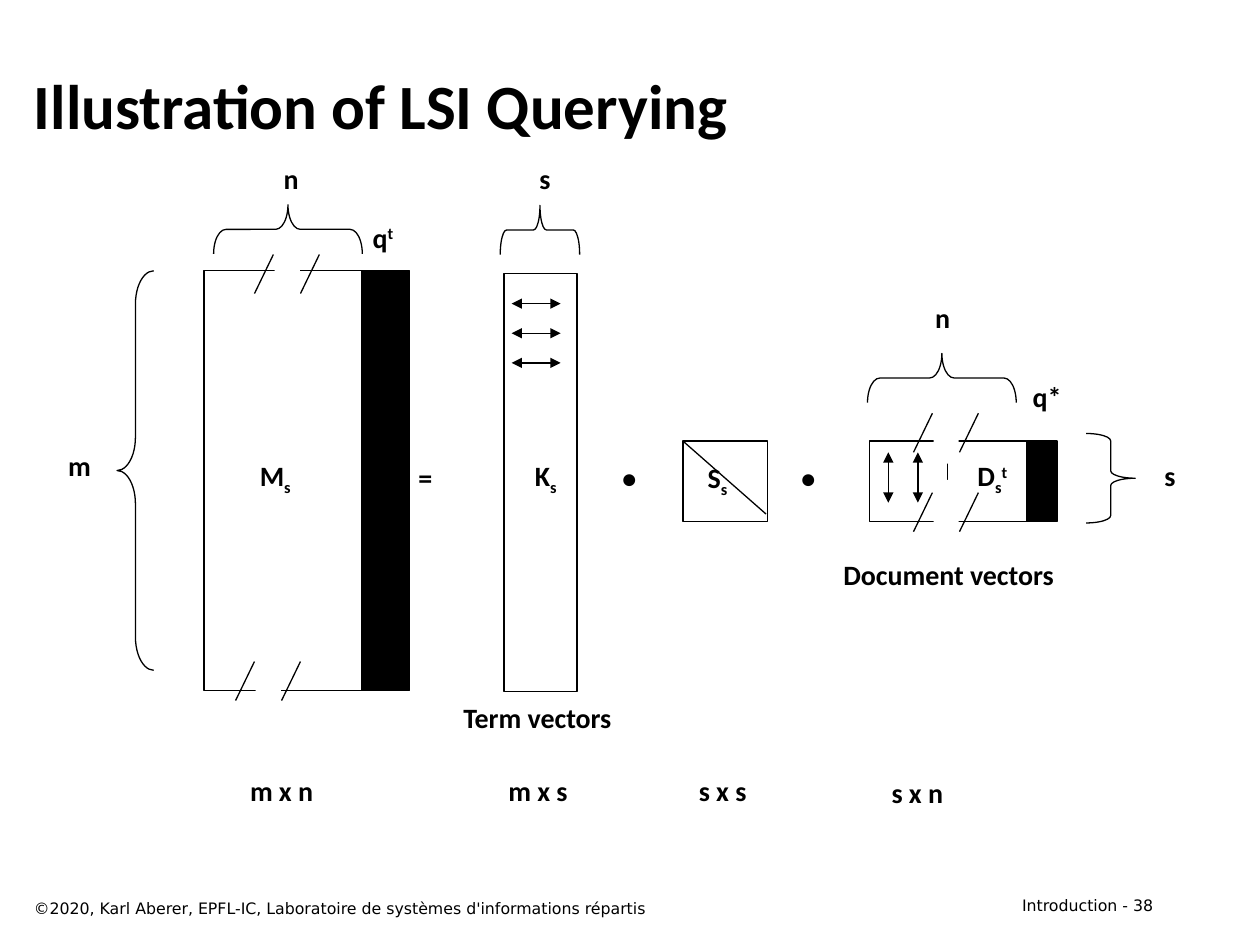
from lxml.etree import SubElement as sub
from pptx import Presentation
from pptx.dml.color import RGBColor
from pptx.enum.shapes import MSO_CONNECTOR as Link, MSO_SHAPE as Kind
from pptx.enum.text import MSO_ANCHOR as Anchor, PP_ALIGN as Align
from pptx.oxml.ns import qn
from pptx.util import Inches, Pt

ink = RGBColor.from_string
deck = Presentation()
deck.slide_width, deck.slide_height = Inches(10), Inches(7.5)
cell = deck.slide_width / 100
slide = deck.slides.add_slide(deck.slide_layouts[6])
shapes = slide.shapes


def draw(kind, box, fill=None, edge="000000"):
    item = shapes.add_shape(kind, *[round(v * cell) for v in box])
    item.shadow.inherit = False
    if fill:
        item.fill.solid()
        item.fill.fore_color.rgb = ink(fill)
    else:
        item.fill.background()
    if edge:
        item.line.color.rgb = ink(edge)
        item.line.width = Pt(0.75)
    else:
        item.line.fill.background()
    return item


def write(parts, box, size=16, face="Calibri", align=Align.CENTER, wrap=False):
    frame = shapes.add_textbox(*[round(v * cell) for v in box]).text_frame
    frame.word_wrap = wrap
    para = frame.paragraphs[0]
    para.alignment = align
    for text, base in parts:
        run = para.add_run()
        run.text = text
        run.font.size = Pt(size)
        run.font.name = face
        run.font.bold = face == "Calibri"
        run.font.color.rgb = ink("000000")
        if base:
            run._r.get_or_add_rPr().set("baseline", str(base * 1000))
    return frame


foot = "©2020, Karl Aberer, EPFL-IC, Laboratoire de systèmes d'informations répartis"
write([("Introduction - 38", 0)], (71.7, 70.6, 20.8, 2.5), 9, "DejaVu Sans", Align.RIGHT, True)
write([(foot, 0)], (1.7, 70.8, 64.2, 2.5), 9, "DejaVu Sans", Align.LEFT, True)
title = write([("Illustration of LSI Querying", 0)], (1.7, 3.3, 90.8, 10), 36, align=Align.LEFT, wrap=True)
title.vertical_anchor = Anchor.MIDDLE

for box, fill in [
    ((16.2, 21.5, 12.6, 33.3), None),
    ((40, 21.7, 5.8, 33.2), None),
    ((54.2, 35, 6.7, 6.4), None),
    ((69, 35, 12.5, 6.4), None),
    ((28.7, 21.5, 3.8, 33.3), "000000"),
    ((81.5, 35, 2.4, 6.4), "000000"),
]:
    draw(Kind.RECTANGLE, box, fill)

for box, turn, bend in [
    ((20.9, 12.3, 3.9, 11.8), 90, 0.25),
    ((9.3, 21.5, 2.9, 31.7), 0, 0.91),
    ((40.9, 15.1, 3.9, 6.3), 90, 0.13),
    ((72.8, 24.1, 3.9, 11.8), 90, 0.25),
    ((86.2, 34.4, 3.9, 7.1), 180, 0.15),
]:
    brace = draw(Kind.LEFT_BRACE, box)
    brace.rotation = turn
    brace.adjustments[0] = bend

low, high = -25, 30
for parts, left, top, wide in [
    ([("•", 0)], 48.4, 36.1, 3.1),
    ([("•", 0)], 62.6, 36.1, 3.1),
    ([("=", 0)], 32.2, 36.1, 3.1),
    ([("M", 0), ("s", low)], 19.5, 35.9, 4.7),
    ([("K", 0), ("s", low)], 41.4, 35.9, 3.8),
    ([("S", 0), ("s", low)], 55.1, 36.1, 3.7),
    ([("D", 0), ("s", low), ("t", high)], 76.5, 35.9, 4.5),
    ([("q", 0), ("t", high)], 28.5, 17, 3.8),
    ([("q*", 0)], 80.9, 29.6, 4.4),
    ([("Term vectors", 0)], 35.7, 55.1, 13.9),
    ([("Document vectors", 0)], 65.8, 43.8, 19),
    ([("m x n", 0)], 18.8, 60.9, 7.1),
    ([("m x s", 0)], 39.3, 60.9, 6.8),
    ([("s x s", 0)], 54.4, 60.9, 5.9),
    ([("s x n", 0)], 69.7, 61.1, 6.2),
    ([("n", 0)], 21.5, 12.3, 3.2),
    ([("m", 0)], 4.4, 35.1, 3.8),
    ([("s", 0)], 41.8, 12.3, 2.9),
    ([("n", 0)], 73.2, 23.4, 3.2),
    ([("s", 0)], 91.4, 35.9, 2.9),
]:
    write(parts, (left, top, wide, 3.7))

cuts = [(18.7, 52.5), (20.2, 20.2), (72.5, 32.8), (72.5, 39.1)]
lines = [((54.2, 35, 60.8, 40.8), False)]
for step in range(3):
    row, col = 24.1 + 2.35 * step, 70.5 + 2.35 * step
    lines += [((44.5, row, 40.6, row), True), ((col, 35.9, col, 39.9), True)]
for left, top in cuts:
    for gap in (0, 3.65):
        lines.append(((left + gap + 1.5, top, left + gap, top + 3.1), False))

for ends, tips in lines:
    line = shapes.add_connector(Link.STRAIGHT, *[round(v * cell) for v in ends])
    line.line.color.rgb = ink("000000")
    line.line.width = Pt(0.75)
    if tips:
        for tag in ("a:headEnd", "a:tailEnd"):
            sub(line.line._get_or_add_ln(), qn(tag), type="triangle")
    sub(line._element.spPr, qn("a:effectLst"))

for left, top in cuts:
    draw(Kind.RECTANGLE, (left + 1.6, top - 1, 2, 5), "FFFFFF", None)

deck.save("out.pptx")
